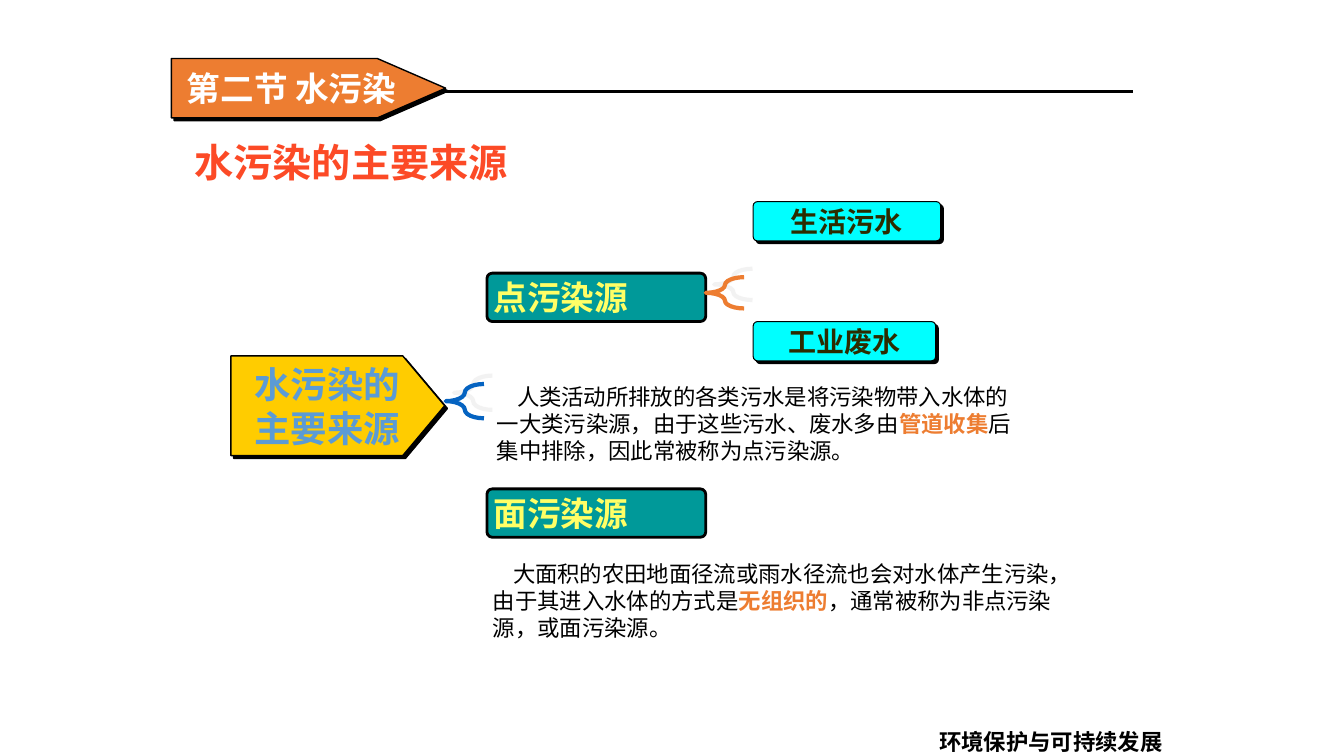
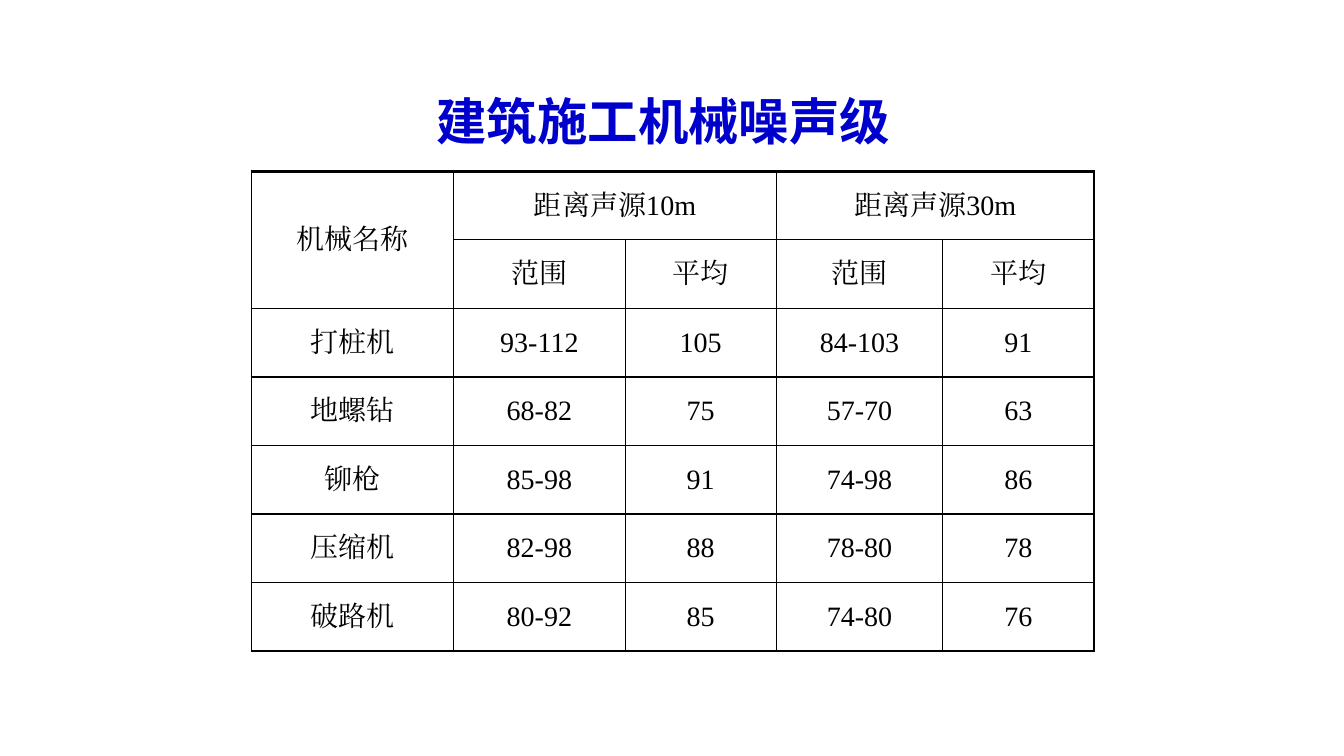
import pptx
import pptx.util
import pptx.dml.color
import pptx.oxml
import pptx.oxml.ns
import pptx.enum.shapes
import pptx.enum.text

SHAPE = pptx.enum.shapes.MSO_SHAPE
ANCHOR = pptx.enum.text.MSO_ANCHOR
ALIGN = pptx.enum.text.PP_ALIGN
PX = 9144  # 100 px to the inch
NAMESPACE = pptx.oxml.ns.nsdecls("a")

BLACK = "000000"
ORANGE = "ED7D31"
CJK = "Noto Sans CJK SC"

SECTION = dict(size=24, name=CJK, color="FFFFFF", bold=True)
TITLE = dict(size=28, name=CJK, color="FC4A26", bold=True)
TABLE_TITLE = dict(size=36, name=CJK, color="0000CC", bold=True)
FOOTER = dict(size=16, name="DejaVu Sans", color=BLACK, bold=True)
ROOT = dict(size=26, name="Arial", color="5B9BD5", bold=True)
BRANCH = dict(size=24, name=CJK, color="FFFF66", bold=True)
LEAF = dict(size=20, name=CJK, color="2C2C00", bold=True)
BODY = dict(size=16, name=CJK, color=BLACK, bold=False)
KEYWORD = dict(BODY, color=ORANGE, bold=True)
CELL = dict(size=20, name="Times New Roman", color=BLACK, bold=False)

HARD_SHADOW = dict(color=BLACK, alpha=100, distance=2.8, angle=45)
SOFT_SHADOW = dict(color="E7E6E6", alpha=50, distance=8.5, angle=315)


def px(*lengths):
    return [pptx.util.Emu(length * PX) for length in lengths]


def rgb(value):
    return pptx.dml.color.RGBColor.from_string(value)


def add_span(para, text, style):
    span = para.add_run()
    span.text = text
    formats = dict(style, size=pptx.util.Pt(style["size"]))
    span.font.color.rgb = rgb(formats.pop("color"))
    for name, value in formats.items():
        setattr(span.font, name, value)
    east_asian = pptx.oxml.parse_xml(
        f'<a:ea {NAMESPACE} typeface="{style["name"]}"/>')
    span.font._element.append(east_asian)


def write(frame, paragraphs, align=ALIGN.LEFT, indent=0, line_spacing=None,
          **frame_formats):
    """Fill a text frame; each paragraph is a list of (text, style) pairs."""
    frame.word_wrap = True
    for name, value in frame_formats.items():
        setattr(frame, name, value)
    for index, spans in enumerate(paragraphs):
        para = frame.add_paragraph() if index else frame.paragraphs[0]
        para.alignment = align
        para.line_spacing = line_spacing
        if indent:
            para._p.get_or_add_pPr().set("indent", str(indent * PX))
        for text, style in spans:
            add_span(para, text, style)


def add_text(slide, place, paragraphs, **formats):
    box = slide.shapes.add_textbox(*px(*place))
    write(box.text_frame, paragraphs, **formats)


def set_shadow(shape, color, alpha, distance, angle):
    shape.shadow.inherit = False
    effects = shape._element.spPr.find(pptx.oxml.ns.qn("a:effectLst"))
    effects.append(pptx.oxml.parse_xml(
        f'<a:outerShdw {NAMESPACE} dist="{int(distance * 12700)}" '
        f'dir="{angle * 60000}" algn="ctr" rotWithShape="0">'
        f'<a:srgbClr val="{color}"><a:alpha val="{alpha * 1000}"/></a:srgbClr>'
        '</a:outerShdw>'))


def add_figure(slide, kind, place, adjustments, line, fill=None, shadow=None):
    shape = slide.shapes.add_shape(kind, *px(*place))
    for index, value in enumerate(adjustments):
        shape.adjustments[index] = value
    if fill:
        shape.fill.solid()
        shape.fill.fore_color.rgb = rgb(fill)
    else:
        shape.fill.background()
    color, width = line
    shape.line.color.rgb = rgb(color)
    shape.line.width = pptx.util.Pt(width)
    shape.shadow.inherit = False
    if shadow:
        set_shadow(shape, **shadow)
    return shape


def add_plate(slide, place, point, fill, lines, style):
    plate = add_figure(slide, SHAPE.PENTAGON, place, [point], (BLACK, 1), fill,
                       HARD_SHADOW)
    write(plate.text_frame, [[(text, style)] for text in lines],
          align=ALIGN.CENTER, vertical_anchor=ANCHOR.MIDDLE,
          margin_left=0, margin_right=0)


def add_label(slide, place, text, style, fill, line_width, align, shadow=None):
    label = add_figure(slide, SHAPE.ROUNDED_RECTANGLE, place, [0.11],
                       (BLACK, line_width), fill, shadow)
    margin = pptx.util.Emu(5 * PX)
    write(label.text_frame, [[(text, style)]], align=align,
          vertical_anchor=ANCHOR.MIDDLE,
          margin_left=margin, margin_right=margin)


def add_brace(slide, place, curve, color):
    add_figure(slide, SHAPE.LEFT_BRACE, place, [curve, 0.5], (color, 3),
               shadow=SOFT_SHADOW)


def add_explanation(slide, place, before, keyword, after):
    spans = [(before, BODY), (keyword, KEYWORD), (after, BODY)]
    add_text(slide, place, [spans], indent=20, vertical_anchor=ANCHOR.MIDDLE)


def add_rule(slide, start, end, width):
    rule = slide.shapes.add_connector(
        pptx.enum.shapes.MSO_CONNECTOR.STRAIGHT, *px(*start, *end))
    rule.line.color.rgb = rgb(BLACK)
    rule.line.width = pptx.util.Pt(width)
    rule._element.spPr.append(
        pptx.oxml.parse_xml(f"<a:effectLst {NAMESPACE}/>"))


def set_borders(cell, widths):
    """Set the left, right, top and bottom border widths in points."""
    properties = cell._tc.get_or_add_tcPr()
    for index, (side, width) in enumerate(zip("LRTB", widths)):
        properties.insert(index, pptx.oxml.parse_xml(
            f'<a:ln{side} {NAMESPACE} w="{int(width * 12700)}"><a:solidFill>'
            f'<a:srgbClr val="{BLACK}"/></a:solidFill></a:ln{side}>'))


def add_grid(slide, left, top, widths, row_height, rows, merges):
    frame = slide.shapes.add_table(
        len(rows), len(widths),
        *px(left, top, sum(widths), row_height * len(rows)))
    table = frame.table
    table.first_row = table.horz_banding = False
    for column, width in zip(table.columns, px(*widths)):
        column.width = width
    for row_index, row in enumerate(rows):
        table.rows[row_index].height = pptx.util.Emu(row_height * PX)
        for column_index, text in enumerate(row):
            cell = table.cell(row_index, column_index)
            cell.fill.background()
            cell.vertical_anchor = ANCHOR.MIDDLE
            if text:
                write(cell.text_frame, [[(text, CELL)]], align=ALIGN.CENTER)
            set_borders(cell, (0.75 if column_index == 0 else 1, 1,
                               2.25 if row_index == 0 else 1,
                               2.25 if row_index == len(rows) - 1 else 1))
    for start, end in merges:
        table.cell(*start).merge(table.cell(*end))


def build_sources(slide):
    add_rule(slide, (209, 91), (1124, 91), 2.25)
    add_text(slide, (846, 717, 317, 33), [[("环境保护与可持续发展", FOOTER)]],
             align=ALIGN.RIGHT)
    add_text(slide, (183, 108, 389, 81), [[("水污染的主要来源", TITLE)]],
             line_spacing=1.5, vertical_anchor=ANCHOR.MIDDLE)
    add_plate(slide, (229, 353, 212, 99), 0.42, "FFCC00",
              ["水污染的", "主要来源"], ROOT)
    add_brace(slide, (442, 381, 38, 34), 0.5, "0563C1")
    for text, top in (("点污染源", 271), ("面污染源", 485)):
        add_label(slide, (483, top, 217, 48), text, BRANCH, "009999", 2,
                  ALIGN.LEFT)
    for text, top, width in (("生活污水", 200, 186), ("工业废水", 319, 181)):
        add_label(slide, (747, top, width, 39), text, LEAF, "00FFFF", 0.75,
                  ALIGN.CENTER, HARD_SHADOW)
    add_brace(slide, (700, 275, 38, 31), 0.33, ORANGE)
    add_explanation(
        slide, (483, 375, 536, 91),
        "人类活动所排放的各类污水是将污染物带入水体的一大类污染源，由于这些污水、废水多由",
        "管道收集", "后集中排除，因此常被称为点污染源。")
    add_explanation(
        slide, (479, 550, 576, 91),
        "大面积的农田地面径流或雨水径流也会对水体产生污染，由于其进入水体的方式是",
        "无组织的", "，通常被称为非点污染源，或面污染源。")
    add_plate(slide, (170, 58, 272, 59), 1.15, ORANGE, ["第二节 水污染"],
              SECTION)


def build_noise_levels(slide):
    rows = [
        ("机械名称", "距离声源10m", "", "距离声源30m", ""),
        ("", "范围", "平均", "范围", "平均"),
        ("打桩机", "93-112", "105", "84-103", "91"),
        ("地螺钻", "68-82", "75", "57-70", "63"),
        ("铆枪", "85-98", "91", "74-98", "86"),
        ("压缩机", "82-98", "88", "78-80", "78"),
        ("破路机", "80-92", "85", "74-80", "76"),
    ]
    merges = [((0, 0), (1, 0)), ((0, 1), (0, 2)), ((0, 3), (0, 4))]
    add_grid(slide, 249, 170, (201, 170, 150, 165, 150), 68, rows, merges)
    add_text(slide, (423, 84, 528, 71), [[("建筑施工机械噪声级", TABLE_TITLE)]])


def main():
    deck = pptx.Presentation()
    deck.slide_width, deck.slide_height = px(1333, 750)
    for build in (build_sources, build_noise_levels):
        build(deck.slides.add_slide(deck.slide_layouts[6]))
    deck.save("out.pptx")


if __name__ == "__main__":
    main()
